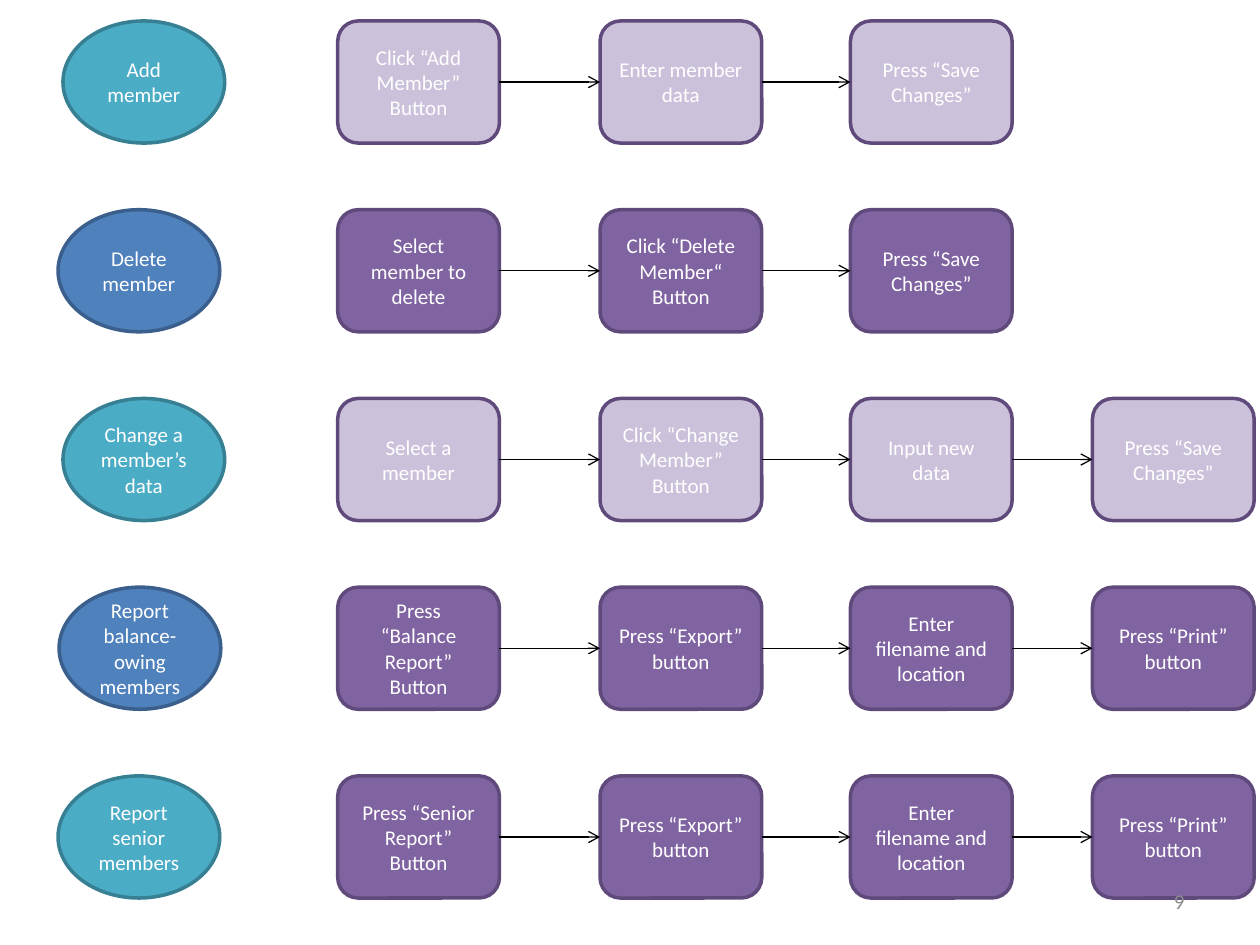
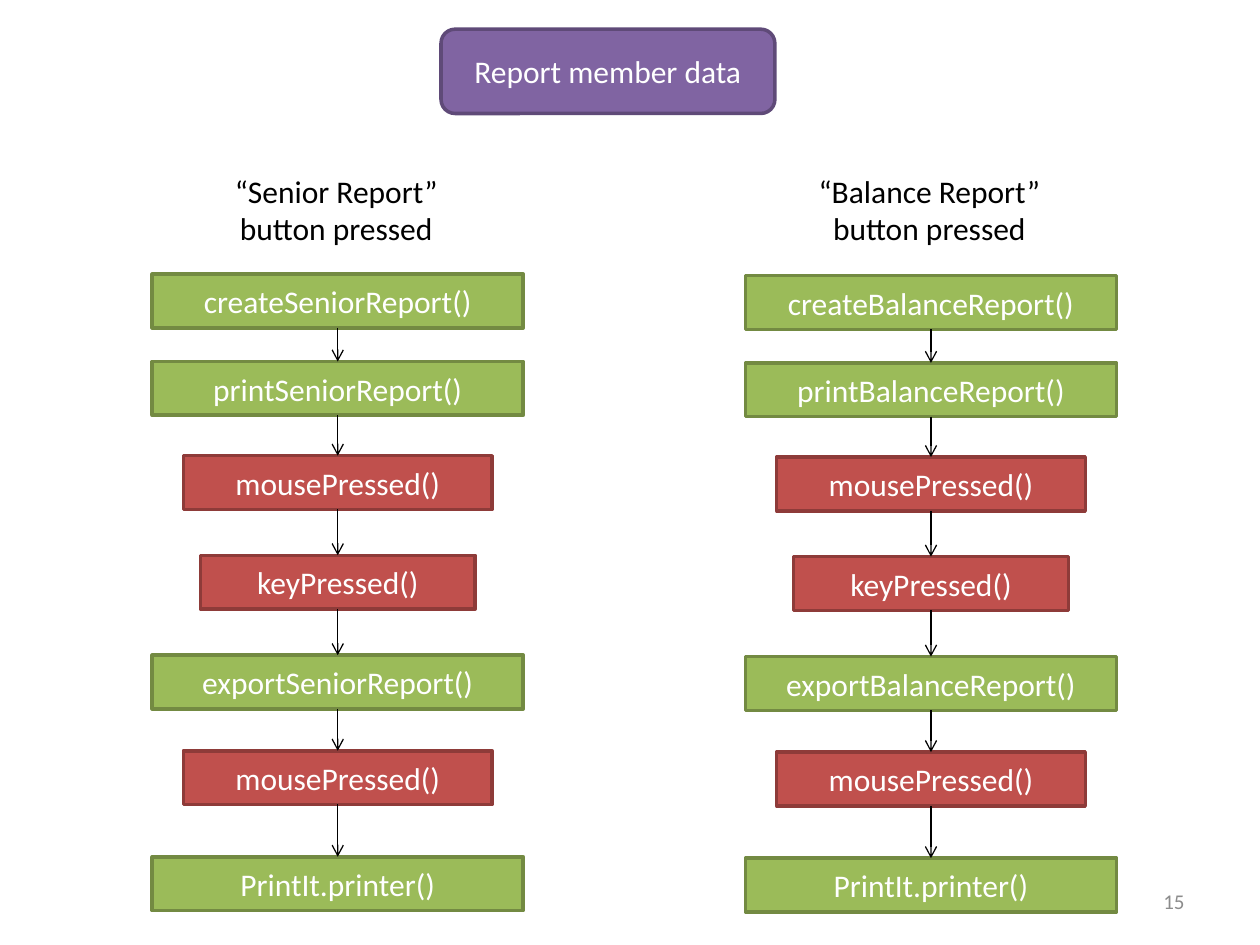
"""Builds two slides: the member task flows and the report call chains."""
from itertools import pairwise

from lxml import etree
from pptx import Presentation
from pptx.dml.color import RGBColor
from pptx.enum import shapes, text
from pptx.oxml.ns import qn
from pptx.util import Pt

WHITE = RGBColor(0xFF, 0xFF, 0xFF)
BLACK = RGBColor(0x00, 0x00, 0x00)
GREY = RGBColor(0x8C, 0x8C, 0x8C)
TEAL = RGBColor(0x4B, 0xAC, 0xC6)
TEAL_EDGE = RGBColor(0x37, 0x7F, 0x92)
BLUE = RGBColor(0x4F, 0x81, 0xBD)
BLUE_EDGE = RGBColor(0x3A, 0x5F, 0x8C)
LILAC = RGBColor(0xCC, 0xC1, 0xDA)
PURPLE = RGBColor(0x80, 0x64, 0xA2)
PURPLE_EDGE = RGBColor(0x60, 0x4A, 0x7B)
TITLE_EDGE = RGBColor(0x5F, 0x4A, 0x78)
GREEN = RGBColor(0x9B, 0xBB, 0x59)
GREEN_EDGE = RGBColor(0x73, 0x8A, 0x42)
RED = RGBColor(0xC0, 0x50, 0x4D)
RED_EDGE = RGBColor(0x8E, 0x3B, 0x39)

OVAL = shapes.MSO_SHAPE.OVAL
ROUNDED = shapes.MSO_SHAPE.ROUNDED_RECTANGLE
PROCESS = shapes.MSO_SHAPE.FLOWCHART_PROCESS
TOP, LEFT, BOTTOM, RIGHT = range(4)

TASK_TOP, TASK_PITCH = 12, 107.85
TASK_W, TASK_H = 92.4, 69.8
STEP_LEFTS = (193, 342.9, 486, 624.3)
TASKS = [
    ("Add member", 36, TEAL, TEAL_EDGE, LILAC,
     ["Click “Add Member” Button", "Enter member data", "Press “Save Changes”"]),
    ("Delete member", 33.2, BLUE, BLUE_EDGE, PURPLE,
     ["Select member to delete", "Click “Delete Member“ Button", "Press “Save Changes”"]),
    ("Change a member’s data", 36, TEAL, TEAL_EDGE, LILAC,
     ["Select a member", "Click “Change Member” Button", "Input new data", "Press “Save Changes”"]),
    ("Report balance-owing members", 33.8, BLUE, BLUE_EDGE, PURPLE,
     ["Press “Balance Report” Button", "Press “Export” button",
      "Enter filename and location", "Press “Print” button"]),
    ("Report senior members", 33.2, TEAL, TEAL_EDGE, PURPLE,
     ["Press “Senior Report” Button", "Press “Export” button",
      "Enter filename and location", "Press “Print” button"]),
]

CALL_H = 30.7
CALLS = [
    ("create{}Report()", 156.7, 212, GREEN, GREEN_EDGE),
    ("print{}Report()", 206.6, 212, GREEN, GREEN_EDGE),
    ("mousePressed()", 260.4, 176.4, RED, RED_EDGE),
    ("keyPressed()", 317.3, 157, RED, RED_EDGE),
    ("export{}Report()", 374.4, 212, GREEN, GREEN_EDGE),
    ("mousePressed()", 429, 176.4, RED, RED_EDGE),
    ("PrintIt.printer()", 489.6, 212, GREEN, GREEN_EDGE),
]
REPORTS = [("Senior", 193, 131.8, 0), ("Balance", 532, 142.6, 0.8)]


class Deck:
    """Holds the presentation, its text style and the current slide."""

    def __init__(self, font="Calibri"):
        self.prs = Presentation()
        self.prs.slide_width, self.prs.slide_height = Pt(720), Pt(540)
        self.font = font
        self.s = None

    def new_slide(self):
        self.s = self.prs.slides.add_slide(self.prs.slide_layouts[6])

    def style(self, p, size, color, align):
        p.alignment = align
        p.font.name, p.font.size, p.font.color.rgb = self.font, Pt(size), color

    def box(self, kind, x, y, w, h, label, fill, edge, size=12):
        sp = self.s.shapes.add_shape(kind, Pt(x), Pt(y), Pt(w), Pt(h))
        sp.shadow.inherit = False
        sp.fill.solid()
        sp.fill.fore_color.rgb = fill
        sp.line.color.rgb = edge
        sp.line.width = Pt(2)
        tf = sp.text_frame
        tf.text = label
        tf.word_wrap = True
        tf.vertical_anchor = text.MSO_ANCHOR.MIDDLE
        self.style(tf.paragraphs[0], size, WHITE, text.PP_ALIGN.CENTER)
        return sp

    def arrows(self, boxes, out_side, in_side):
        for a, b in pairwise(boxes):
            cn = self.s.shapes.add_connector(shapes.MSO_CONNECTOR.STRAIGHT, 0, 0, 0, 0)
            cn.begin_connect(a, out_side)
            cn.end_connect(b, in_side)
            cn.line.color.rgb = BLACK
            cn.line.width = Pt(0.75)
            props = cn.element.spPr
            etree.SubElement(props.find(qn("a:ln")), qn("a:tailEnd"), type="arrow")
            etree.SubElement(props, qn("a:effectLst"))

    def heading(self, x, y, w, h, first, second):
        tf = self.s.shapes.add_textbox(Pt(x), Pt(y), Pt(w), Pt(h)).text_frame
        tf.word_wrap = False
        tf.auto_size = text.MSO_AUTO_SIZE.SHAPE_TO_FIT_TEXT
        tf.text = f"{first}\n{second}"
        for p, align in zip(tf.paragraphs, (text.PP_ALIGN.LEFT, text.PP_ALIGN.CENTER)):
            self.style(p, 18, BLACK, align)

    def page_number(self, number):
        tf = self.s.shapes.add_textbox(Pt(516), Pt(500.5), Pt(168), Pt(28.75)).text_frame
        tf.word_wrap = True
        tf.vertical_anchor = text.MSO_ANCHOR.MIDDLE
        tf.text = str(number)
        self.style(tf.paragraphs[0], 12, GREY, text.PP_ALIGN.RIGHT)


def task_flows(deck):
    deck.new_slide()
    for i, (task, left, fill, edge, step_fill, steps) in enumerate(TASKS):
        y = TASK_TOP + i * TASK_PITCH
        deck.box(OVAL, left, y, TASK_W, TASK_H, task, fill, edge)
        boxes = [deck.box(ROUNDED, x, y, TASK_W, TASK_H, step, step_fill, PURPLE_EDGE)
                 for x, step in zip(STEP_LEFTS, steps)]
        deck.arrows(boxes, RIGHT, LEFT)
    deck.page_number(9)


def report_calls(deck):
    deck.new_slide()
    deck.box(ROUNDED, 252, 16.7, 190.8, 48.2, "Report member data", PURPLE, TITLE_EDGE, 18)
    for report, center, width, drop in REPORTS:
        deck.heading(center - width / 2, 94.5, width, 50.9,
                     f"“{report} Report”", "button pressed")
        boxes = [deck.box(PROCESS, center - w / 2, y + drop, w, CALL_H,
                          call.format(report), fill, edge, 18)
                 for call, y, w, fill, edge in CALLS]
        deck.arrows(boxes, BOTTOM, TOP)
    deck.page_number(15)


def main():
    deck = Deck()
    task_flows(deck)
    report_calls(deck)
    deck.prs.save("out.pptx")


if __name__ == "__main__":
    main()
